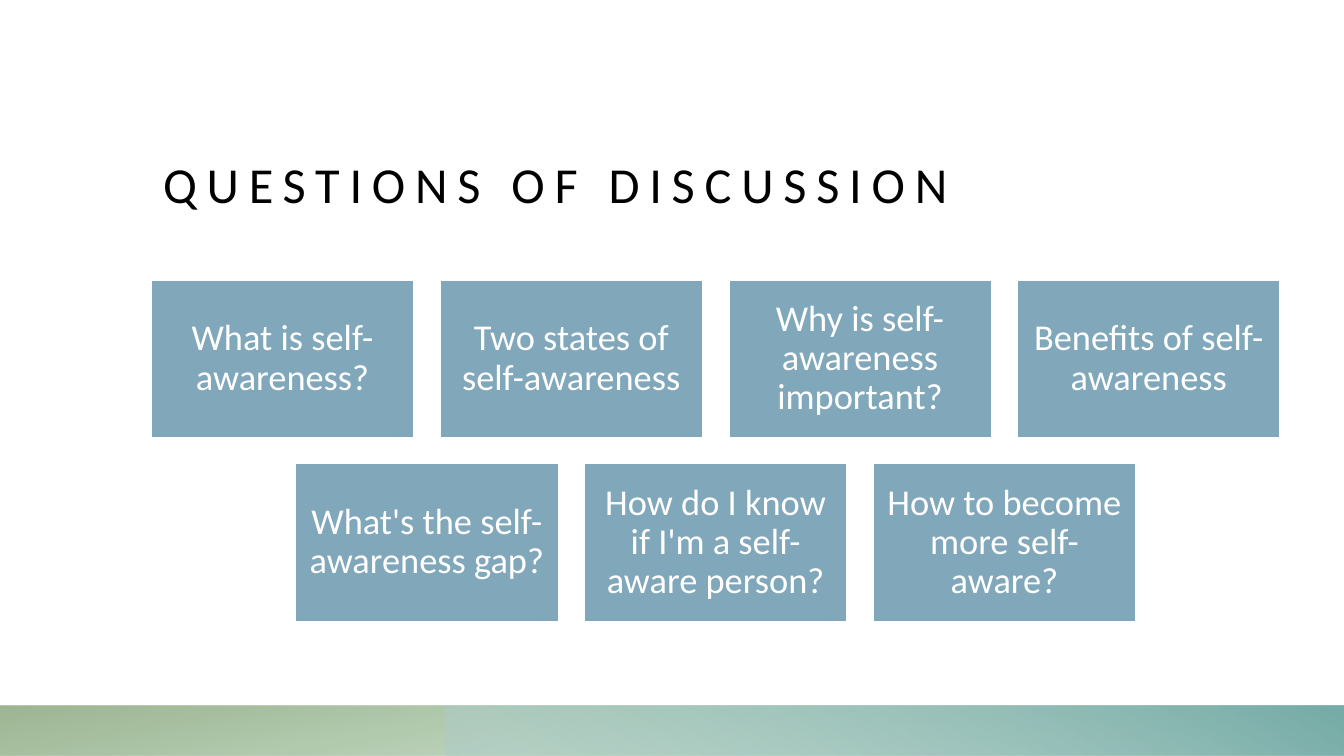
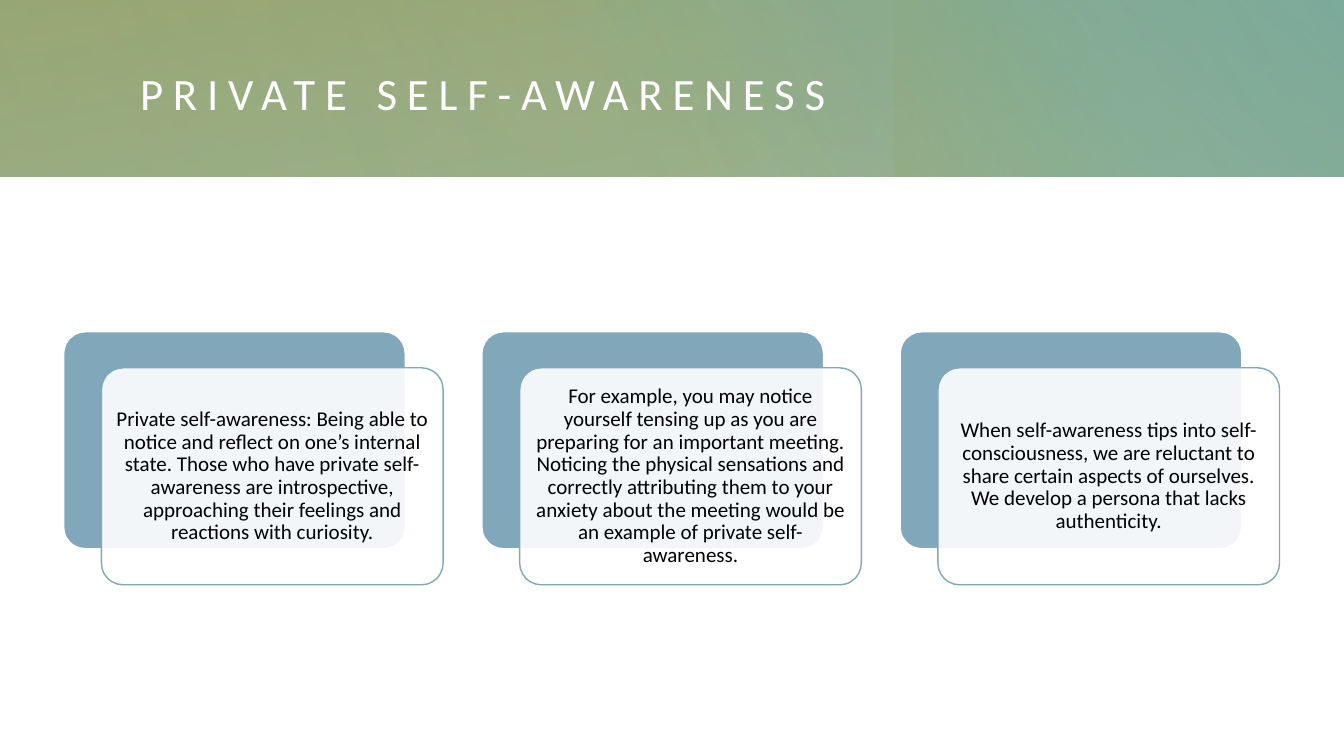
from lxml import etree
from pptx import Presentation
from pptx.dml.color import RGBColor
from pptx.enum.shapes import MSO_SHAPE as Preset
from pptx.enum.text import MSO_ANCHOR as Anchor, MSO_AUTO_SIZE as AutoSize, PP_ALIGN as Align
from pptx.oxml.ns import qn
from pptx.util import Pt

WHITE = RGBColor(0xFF, 0xFF, 0xFF)
BLACK = RGBColor(0x00, 0x00, 0x00)
BLUE = RGBColor(0x80, 0xA7, 0xBA)
GREEN = RGBColor(0x78, 0xB0, 0x7C)
SAGE = RGBColor(0x8E, 0xA9, 0x80)
OLIVE = RGBColor(0x9A, 0xA7, 0x72)
TEAL = RGBColor(0x76, 0xAC, 0xA7)
PALE_TEAL = RGBColor(0xAD, 0xCD, 0xCA)

FONT = "Calibri"
WIDTH, HEIGHT = 960, 540
FOOTER_TOP, FOOTER_HEIGHT = 504, 36
BAND_HEIGHT = 126


def set_text(shape, text, size, color, align=Align.CENTER, anchor=Anchor.MIDDLE,
             insets=(8, 8, 8, 8), line_spacing=0.9, tracking=0):
    """Write one formatted paragraph; insets run left, top, right, bottom."""
    frame = shape.text_frame
    frame.word_wrap = True
    frame.auto_size = AutoSize.NONE
    frame.vertical_anchor = anchor
    (frame.margin_left, frame.margin_top,
     frame.margin_right, frame.margin_bottom) = [Pt(inset) for inset in insets]
    paragraph = frame.paragraphs[0]
    paragraph.alignment = align
    paragraph.line_spacing = line_spacing
    run = paragraph.add_run()
    run.text = text
    run.font.name = FONT
    run.font.size = Pt(size)
    run.font.color.rgb = color
    if tracking:
        run.font._element.set("spc", str(tracking * 100))


def add_box(slide, box, preset=Preset.RECTANGLE, fill=None, line=None, opacity=100,
            stops=(), angle=0):
    """Add a shape with a plain fill, or a gradient of (position, colour, opacity) stops."""
    shape = slide.shapes.add_shape(preset, *[Pt(length) for length in box])
    shape.shadow.inherit = False
    if line is None:
        shape.line.fill.background()
    else:
        shape.line.color.rgb = line
        shape.line.width = Pt(1)
    if not stops:
        shape.fill.solid()
        shape.fill.fore_color.rgb = fill
        if opacity < 100:
            color = shape.fill._xPr.find(qn("a:solidFill"))[0]
            etree.SubElement(color, qn("a:alpha"), val=str(opacity * 1000))
        return shape
    shape.fill.gradient()
    gradient = shape.fill._xPr.find(qn("a:gradFill"))
    for child in list(gradient):
        gradient.remove(child)
    stop_list = etree.SubElement(gradient, qn("a:gsLst"))
    for position, stop_color, stop_opacity in stops:
        stop = etree.SubElement(stop_list, qn("a:gs"), pos=str(position * 1000))
        color = etree.SubElement(stop, qn("a:srgbClr"), val=str(stop_color))
        etree.SubElement(color, qn("a:alpha"), val=str(stop_opacity * 1000))
    etree.SubElement(gradient, qn("a:lin"), ang=str(angle * 60000), scaled="0")
    return shape


# Gradient layers: box, stops, direction in degrees clockwise
FOOTER_LAYERS = [
    ((0, FOOTER_TOP, WIDTH, FOOTER_HEIGHT), [(14, GREEN, 28), (100, SAGE, 85)], 260),
    ((318, FOOTER_TOP, 642, FOOTER_HEIGHT), [(9, PALE_TEAL, 55), (99, TEAL, 100)], 300),
]
BAND_LAYERS = [
    ((0, 0, WIDTH, BAND_HEIGHT), [(0, SAGE, 83), (100, OLIVE, 100)], 260),
    ((346.5, 0, 613.5, BAND_HEIGHT), [(22, TEAL, 0), (99, TEAL, 100)], 310),
    ((639, 0, 269.5, BAND_HEIGHT), [(45, GREEN, 0), (99, OLIVE, 33)], 160),
    ((193, 0, 767, BAND_HEIGHT), [(0, SAGE, 30), (99, SAGE, 0)], 150),
    ((0, 0, 623, BAND_HEIGHT), [(0, SAGE, 21), (99, SAGE, 0)], 340),
]

# Slide content
PAGES = [
    dict(title="QUESTIONS OF DISCUSSION", box=(108, 62.5, 806.5, 97.5),
         size=36, color=BLACK, anchor=Anchor.BOTTOM, layers=FOOTER_LAYERS),
    dict(title="PRIVATE SELF-AWARENESS", box=(91.5, 29.5, 817, 76.5),
         size=32, color=WHITE, anchor=Anchor.MIDDLE, layers=BAND_LAYERS),
]
QUESTION_ROWS = [
    ["What is self-awareness?", "Two states of self-awareness",
     "Why is self-awareness important?", "Benefits of self-awareness"],
    ["What's the self-awareness gap?", "How do I know if I'm a self-aware person?",
     "How to become more self-aware?"],
]
CARD_TEXTS = [
    "Private self-awareness: Being able to notice and reflect on one’s internal state. "
    "Those who have private self-awareness are introspective, approaching their feelings "
    "and reactions with curiosity.",
    "For example, you may notice yourself tensing up as you are preparing for an important "
    "meeting. Noticing the physical sensations and correctly attributing them to your anxiety "
    "about the meeting would be an example of private self-awareness.",
    "When self-awareness tips into self-consciousness, we are reluctant to share certain "
    "aspects of ourselves. We develop a persona that lacks authenticity.",
]

presentation = Presentation()
presentation.slide_width = Pt(WIDTH)
presentation.slide_height = Pt(HEIGHT)
title_only = presentation.slide_layouts[5]

# Titles and coloured bands
for page in PAGES:
    slide = presentation.slides.add_slide(title_only)
    for box, stops, angle in page["layers"]:
        add_box(slide, box, stops=stops, angle=angle)
    title = slide.shapes.title
    title.left, title.top, title.width, title.height = [Pt(length) for length in page["box"]]
    set_text(title, page["title"], size=page["size"], color=page["color"], align=Align.LEFT,
             anchor=page["anchor"], insets=(8.5, 8.5, 8.5, 7), tracking=7)
    # Keep the title in front of the bands
    slide.shapes._spTree.append(title._element)

questions_slide, private_slide = presentation.slides

# Question tiles: each row is centred on the widest one
TILE_WIDTH, TILE_HEIGHT, TILE_GAP = 187.5, 112.5, 18.75
TILES_CENTER, TILES_TOP = 511.25, 200
for row, questions in enumerate(QUESTION_ROWS):
    row_width = len(questions) * (TILE_WIDTH + TILE_GAP) - TILE_GAP
    top = TILES_TOP + row * (TILE_HEIGHT + TILE_GAP)
    for column, question in enumerate(questions):
        left = TILES_CENTER - row_width / 2 + column * (TILE_WIDTH + TILE_GAP)
        tile = add_box(questions_slide, (left, top, TILE_WIDTH, TILE_HEIGHT),
                       fill=BLUE, line=WHITE)
        set_text(tile, question, size=26, color=WHITE)

# Cards: a translucent front over a blue back
CARD_WIDTH, CARD_HEIGHT, CARD_STEP = 244, 155, 298.75
CARDS_LEFT, CARDS_TOP = 45.5, 237
FRONT_SHIFT_X, FRONT_SHIFT_Y = 27, 25.75
for index, text in enumerate(CARD_TEXTS):
    left = CARDS_LEFT + index * CARD_STEP
    back = add_box(private_slide, (left, CARDS_TOP, CARD_WIDTH, CARD_HEIGHT),
                   Preset.ROUNDED_RECTANGLE, fill=BLUE, line=WHITE)
    front = add_box(private_slide,
                    (left + FRONT_SHIFT_X, CARDS_TOP + FRONT_SHIFT_Y, CARD_WIDTH, CARD_HEIGHT),
                    Preset.ROUNDED_RECTANGLE, fill=WHITE, line=BLUE, opacity=90)
    for card in (back, front):
        card.adjustments[0] = 0.1
    set_text(front, text, size=15, color=BLACK, insets=(4.5, 4.5, 4.5, 4.5))

presentation.save("out.pptx")
